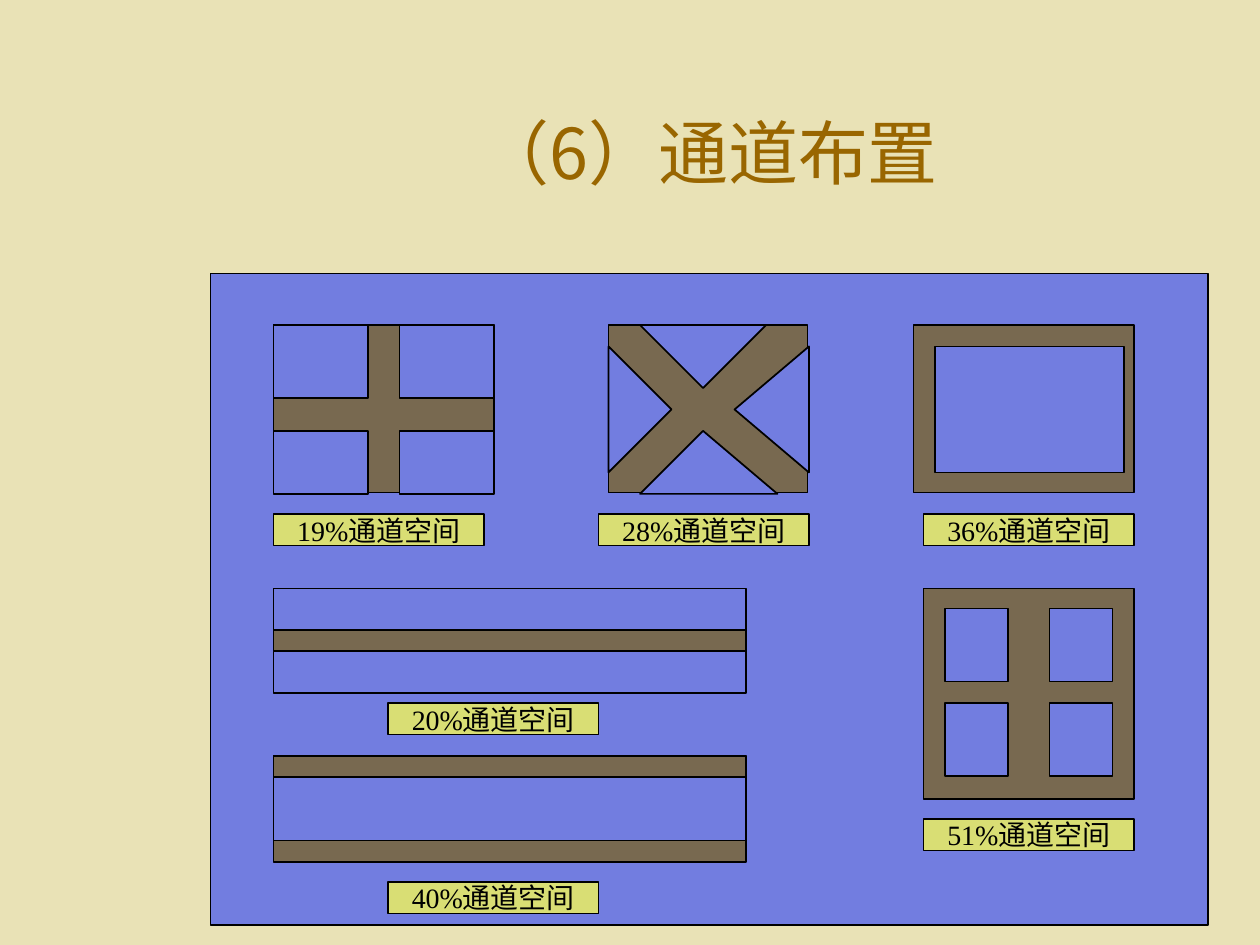
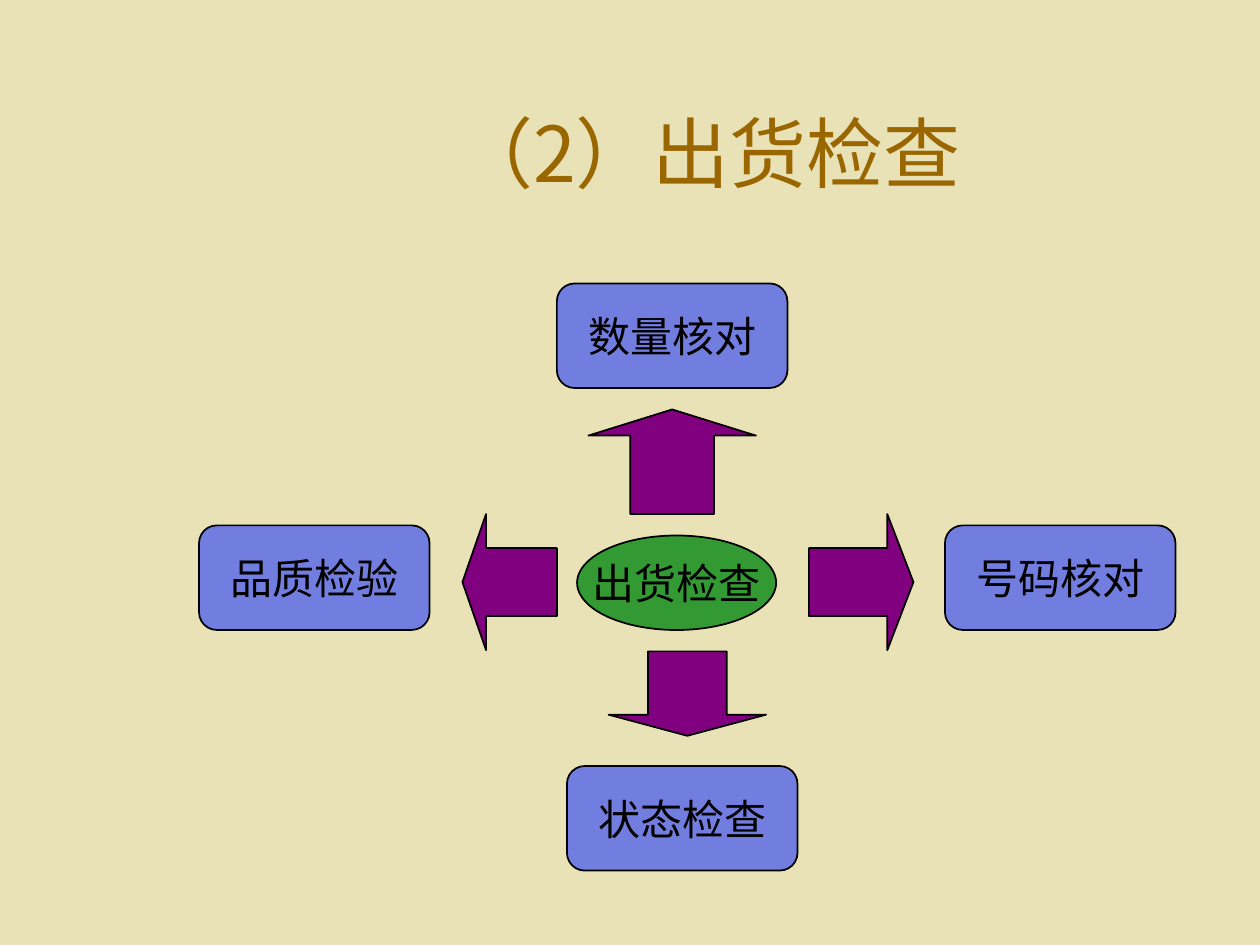
from dataclasses import dataclass
from itertools import product

from lxml import etree
from pptx import Presentation
from pptx.dml.color import RGBColor
from pptx.enum.shapes import MSO_SHAPE as Preset
from pptx.enum.text import MSO_ANCHOR as Anchor, MSO_AUTO_SIZE as AutoSize, PP_ALIGN as Align
from pptx.oxml.ns import qn
from pptx.util import Inches, Pt


@dataclass(frozen=True)
class Theme:
    background: str = "E9E2B6"
    title: str = "996600"
    ink: str = "000000"
    storage: str = "727DE0"
    aisle: str = "786950"
    tag: str = "D9DE74"
    hub: str = "339933"
    arrow: str = "800080"
    title_font: str = "Noto Sans CJK SC"
    body_font: str = "Times New Roman"
    east_asian_font: str = "Noto Sans CJK SC"
    tag_size: int = 16
    node_size: int = 24
    line_width: int = 1


THEME = Theme()
TAG_SIZE = (1.67, 0.25)
NODE_SIZE = (1.83, 0.83)


# Shared styling
def paint(shape, fill):
    shape.shadow.inherit = False
    shape.fill.solid()
    shape.fill.fore_color.rgb = RGBColor.from_string(fill)
    shape.line.color.rgb = RGBColor.from_string(THEME.ink)
    shape.line.width = Pt(THEME.line_width)
    return shape


def write(shape, text, size, color, font_name):
    frame = shape.text_frame
    frame.text = text
    frame.vertical_anchor = Anchor.MIDDLE
    frame.auto_size = AutoSize.NONE
    paragraph = frame.paragraphs[0]
    paragraph.alignment = Align.CENTER
    font = paragraph.runs[0].font
    font.size = Pt(size)
    font.name = font_name
    font.color.rgb = RGBColor.from_string(color)
    east_asian = etree.SubElement(paragraph.runs[0]._r.get_or_add_rPr(), qn("a:ea"))
    east_asian.set("typeface", THEME.east_asian_font)


# Element kinds
def add_titled_slide(prs, title, size):
    slide = prs.slides.add_slide(prs.slide_layouts[5])
    heading = slide.shapes.title
    heading.left, heading.top = Inches(1.5), Inches(0.58)
    heading.width, heading.height = Inches(8.25), Inches(1.25)
    write(heading, title, size, THEME.title, THEME.title_font)
    return slide


def add_block(slide, left, top, width, height, fill, preset=Preset.RECTANGLE):
    box = [Inches(length) for length in (left, top, width, height)]
    return paint(slide.shapes.add_shape(preset, *box), fill)


def add_label(slide, text, box, fill, size, preset=Preset.RECTANGLE):
    label = add_block(slide, *box, fill, preset)
    write(label, text, size, THEME.ink, THEME.body_font)
    label.text_frame.word_wrap = False
    return label


def add_storage_polygon(slide, corners):
    points = [(Inches(x), Inches(y)) for x, y in corners]
    outline = slide.shapes.build_freeform(*points[0])
    outline.add_line_segments(points[1:], close=True)
    paint(outline.convert_to_shape(), THEME.storage)


def add_storage_grid(slide, columns, rows):
    """Columns are (left, width) pairs, rows are (top, height) pairs."""
    for (top, height), (left, width) in product(rows, columns):
        add_block(slide, left, top, width, height, THEME.storage)


def add_striped_plan(slide, top, aisle_tops):
    add_block(slide, 2.17, top, 3.75, 0.83, THEME.storage)
    for aisle_top in aisle_tops:
        add_block(slide, 2.17, aisle_top, 3.75, 0.17, THEME.aisle)


# Slides
def build_aisle_layouts(prs):
    slide = add_titled_slide(prs, "（6）通道布置", 40)
    add_block(slide, 1.67, 2.17, 7.92, 5.17, THEME.storage)

    # Crossing aisles
    add_block(slide, 2.17, 2.58, 1.75, 1.33, THEME.aisle)
    add_storage_grid(slide, [(2.17, 0.75), (3.17, 0.75)], [(2.58, 0.58), (3.42, 0.5)])

    # Diagonal aisles
    add_block(slide, 4.83, 2.58, 1.58, 1.33, THEME.aisle)
    for corners in (
        [(5.08, 3.92), (5.58, 3.42), (6.17, 3.92)],
        [(4.83, 3.75), (5.33, 3.25), (4.83, 2.75)],
        [(5.08, 2.58), (5.58, 3.08), (6.08, 2.58)],
        [(6.42, 2.75), (5.83, 3.25), (6.42, 3.75)],
    ):
        add_storage_polygon(slide, corners)

    # Aisle around a single store
    add_block(slide, 7.25, 2.58, 1.75, 1.33, THEME.aisle)
    add_block(slide, 7.42, 2.75, 1.5, 1, THEME.storage)

    # Aisles around four stores
    add_block(slide, 7.33, 4.67, 1.67, 1.67, THEME.aisle)
    add_storage_grid(slide, [(7.5, 0.5), (8.33, 0.5)], [(4.83, 0.58), (5.58, 0.58)])

    # Middle aisle, then two outer aisles
    add_striped_plan(slide, 4.67, [5])
    add_striped_plan(slide, 6, [6, 6.67])

    # Share of space taken by the aisles
    for percent, left, top in (
        (19, 2.17, 4.08), (28, 4.75, 4.08), (36, 7.33, 4.08),
        (51, 7.33, 6.5), (20, 3.08, 5.58), (40, 3.08, 7),
    ):
        add_label(slide, f"{percent}%通道空间", (left, top, *TAG_SIZE), THEME.tag, THEME.tag_size)


def build_shipping_check(prs):
    slide = add_titled_slide(prs, "（2）出货检查", 44)

    # Checks around the hub
    for check, left, top in (
        ("品质检验", 1.58, 4.17), ("号码核对", 7.5, 4.17),
        ("数量核对", 4.42, 2.25), ("状态检查", 4.5, 6.08),
    ):
        node = add_label(slide, check, (left, top, *NODE_SIZE), THEME.storage,
                         THEME.node_size, Preset.ROUNDED_RECTANGLE)
        node.adjustments[0] = 0.17
    add_label(slide, "出货检查", (4.58, 4.25, 1.58, 0.75), THEME.hub,
              THEME.node_size, Preset.OVAL)

    # Arrows from the hub to each check
    for direction, box in (
        (Preset.DOWN_ARROW, (4.83, 5.17, 1.25, 0.67)),
        (Preset.LEFT_ARROW, (3.67, 4.08, 0.75, 1.08)),
        (Preset.RIGHT_ARROW, (6.42, 4.08, 0.83, 1.08)),
        (Preset.UP_ARROW, (4.67, 3.25, 1.33, 0.83)),
    ):
        arrow = add_block(slide, *box, THEME.arrow, direction)
        arrow.adjustments[0], arrow.adjustments[1] = 0.5, 0.25


def main():
    prs = Presentation()
    prs.slide_width, prs.slide_height = Inches(10), Inches(7.5)
    backdrop = prs.slide_master.background.fill
    backdrop.solid()
    backdrop.fore_color.rgb = RGBColor.from_string(THEME.background)
    build_aisle_layouts(prs)
    build_shipping_check(prs)
    prs.save("out.pptx")


if __name__ == "__main__":
    main()
